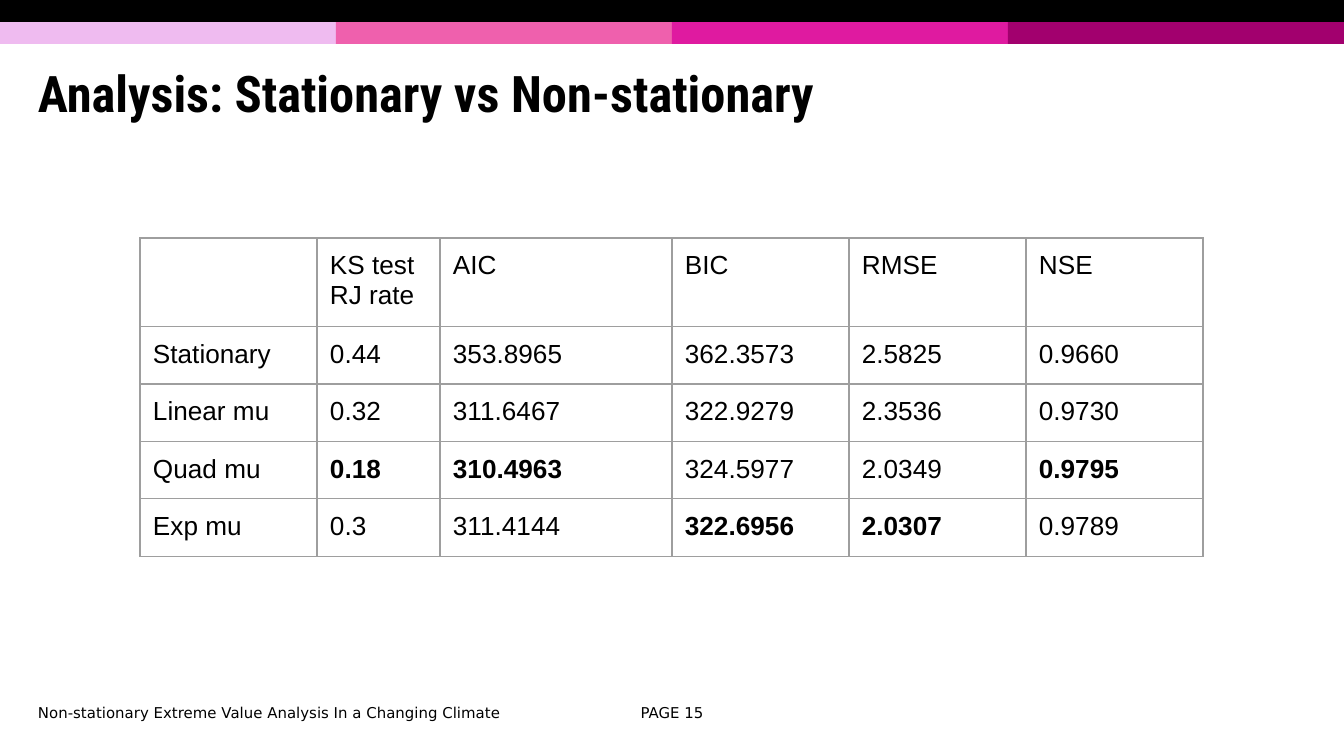
from lxml.etree import SubElement
from pptx import Presentation
from pptx.dml.color import RGBColor
from pptx.enum.shapes import MSO_SHAPE
from pptx.enum.text import MSO_ANCHOR, PP_ALIGN
from pptx.oxml.ns import qn
from pptx.util import Pt

PX = 914400 / 134.4
BLACK = RGBColor(0x00, 0x00, 0x00)
LILAC = RGBColor(0xEF, 0xBB, 0xF0)
PINK = RGBColor(0xEF, 0x60, 0xAD)
MAGENTA = RGBColor(0xDF, 0x1A, 0xA0)
PLUM = RGBColor(0xA2, 0x00, 0x6E)
GREY = RGBColor(0x9E, 0x9E, 0x9E)


def px(*lengths):
    return [round(length * PX) for length in lengths]


def add_label(box, text, font_name, size, bold=False, align=PP_ALIGN.LEFT):
    frame = slide.shapes.add_textbox(*px(*box)).text_frame
    frame.word_wrap = True
    frame.vertical_anchor = MSO_ANCHOR.MIDDLE
    frame.margin_left, frame.margin_right = px(10, 10)
    frame.margin_top, frame.margin_bottom = px(5, 5)
    frame.text = text
    paragraph = frame.paragraphs[0]
    paragraph.alignment = align
    font = paragraph.runs[0].font
    font.name, font.size, font.bold = font_name, Pt(size), bold
    font.color.rgb = BLACK
    return paragraph


presentation = Presentation()
presentation.slide_width, presentation.slide_height = px(1344, 756)
slide = presentation.slides.add_slide(presentation.slide_layouts[6])

stripes = [(336 * i, 22, 336, 22, color)
           for i, color in enumerate([LILAC, PINK, MAGENTA, PLUM])]
for *box, color in stripes + [(0, 0, 1344, 22, BLACK)]:
    stripe = slide.shapes.add_shape(MSO_SHAPE.RECTANGLE, *px(*box))
    stripe.shadow.inherit = False
    stripe.fill.solid()
    stripe.fill.fore_color.rgb = color
    stripe.line.fill.background()

title = add_label((28, 48, 1276, 98), "Analysis: Stationary vs Non-stationary",
                  "Roboto Condensed", 27, bold=True)
title.line_spacing = 0.85
add_label((28, 699, 577, 28),
          "Non-stationary Extreme Value Analysis In a Changing Climate",
          "DejaVu Sans", 8)
add_label((616, 699, 112, 28), "PAGE 15", "DejaVu Sans", 8,
          align=PP_ALIGN.CENTER)

results = [
    ["", "KS test RJ rate", "AIC", "BIC", "RMSE", "NSE"],
    ["Stationary", "0.44", "353.8965", "362.3573", "2.5825", "0.9660"],
    ["Linear mu", "0.32", "311.6467", "322.9279", "2.3536", "0.9730"],
    ["Quad mu", "0.18", "310.4963", "324.5977", "2.0349", "0.9795"],
    ["Exp mu", "0.3", "311.4144", "322.6956", "2.0307", "0.9789"],
]
best_scores = {"0.18", "310.4963", "322.6956", "2.0307", "0.9795"}
column_widths = [177, 123, 232, 177, 177, 177]
row_heights = [85, 56, 56, 56, 56]

scores = slide.shapes.add_table(
    len(results), len(column_widths),
    *px(140, 238, sum(column_widths), sum(row_heights))).table
scores.first_row = False
scores.horz_banding = False
for column, width in zip(scores.columns, px(*column_widths)):
    column.width = width
for row, height in zip(scores.rows, px(*row_heights)):
    row.height = height

for row, values in zip(scores.rows, results):
    for cell, value in zip(row.cells, values):
        cell.margin_left, cell.margin_right = px(13, 13)
        cell.margin_top, cell.margin_bottom = px(13, 13)
        cell.text = value
        font = cell.text_frame.paragraphs[0].font
        font.size = Pt(14)
        for run in cell.text_frame.paragraphs[0].runs:
            run.font.name, run.font.size = "Arial", Pt(14)
            run.font.bold = value in best_scores
            run.font.color.rgb = BLACK
        properties = cell._tc.get_or_add_tcPr()
        for side in ("a:lnL", "a:lnR", "a:lnT", "a:lnB"):
            border = SubElement(properties, qn(side), w=str(Pt(0.75)))
            fill = SubElement(border, qn("a:solidFill"))
            SubElement(fill, qn("a:srgbClr"), val=str(GREY))
        cell.fill.background()

presentation.save("out.pptx")
